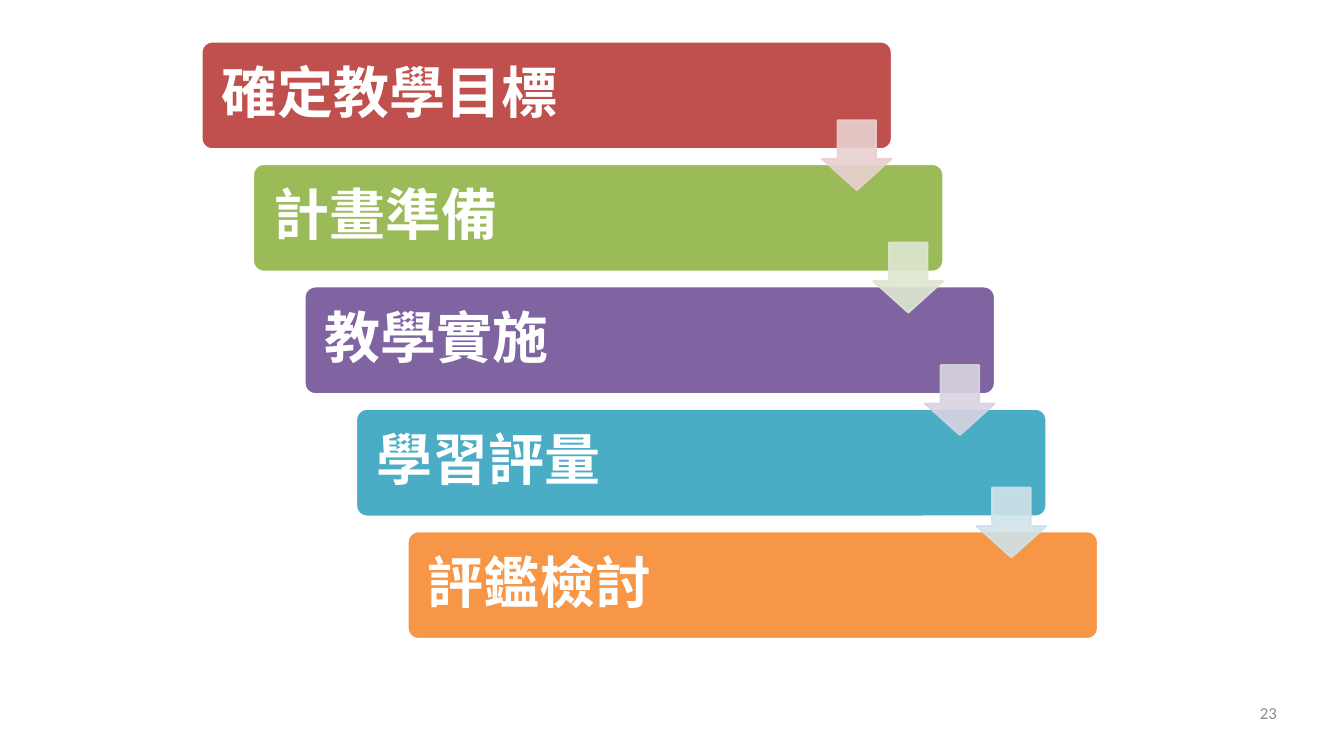
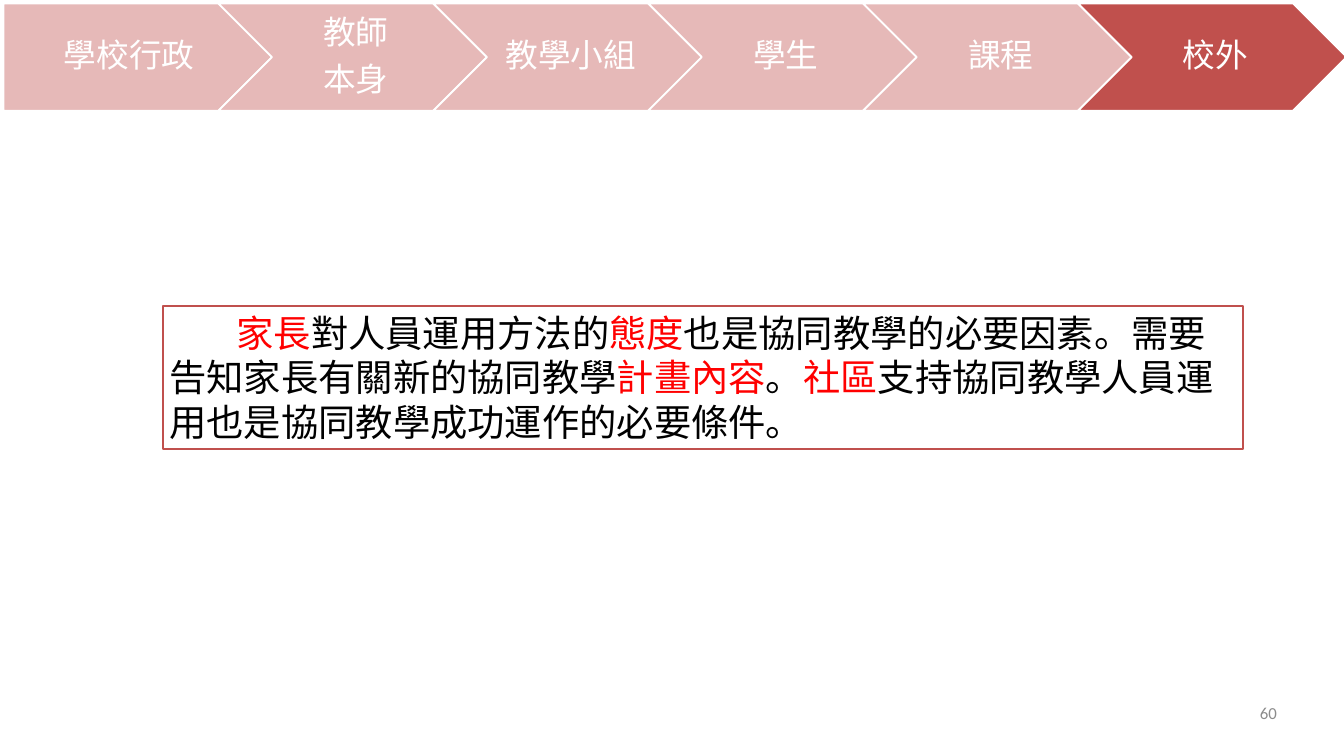
from lxml.etree import SubElement
from pptx import Presentation
from pptx.dml.color import RGBColor
from pptx.enum.shapes import MSO_SHAPE
from pptx.enum.text import MSO_ANCHOR, PP_ALIGN
from pptx.oxml.ns import qn
from pptx.util import Inches, Pt

COLORS = {
    "white": "FFFFFF", "black": "000000", "gray": "8C8C8C", "highlight": "FF0000",
    "red": "C0504D", "green": "9BBB59", "purple": "8064A2", "blue": "4BACC6",
    "orange": "F79646", "pale_red": "E8D0D0", "pale_green": "DEE7D1",
    "pale_purple": "D8D3E0", "pale_blue": "D0E3EA", "pink": "E6B9B8",
}
HEADING_FONT = "Noto Sans CJK SC"
BODY_FONT = "Calibri"


def add_box(slide, kind, bounds, fill, line="white", margins=(0.1, 0.05, 0.1, 0.05)):
    shape = slide.shapes.add_shape(kind, *[Inches(value) for value in bounds])
    shape.shadow.inherit = False
    shape.fill.solid()
    shape.fill.fore_color.rgb = RGBColor.from_string(COLORS[fill])
    shape.line.color.rgb = RGBColor.from_string(COLORS[line])
    shape.line.width = Pt(2)
    frame = shape.text_frame
    frame.word_wrap = True
    frame.vertical_anchor = MSO_ANCHOR.MIDDLE
    for side, margin in zip(("left", "top", "right", "bottom"), margins):
        setattr(frame, f"margin_{side}", Inches(margin))
    return shape


def add_text(paragraph, text, color, font_name, size, bold=False, align=PP_ALIGN.LEFT, spaced=False):
    paragraph.alignment = align
    run = paragraph.add_run()
    run.text = text
    for name, value in {"name": font_name, "size": Pt(size), "bold": bold}.items():
        setattr(run.font, name, value)
    run.font.color.rgb = RGBColor.from_string(COLORS[color])
    SubElement(run.font._element, qn("a:ea"), typeface=font_name)
    if spaced:
        paragraph.line_spacing = 0.9
        space_after = SubElement(paragraph._p.get_or_add_pPr(), qn("a:spcAft"))
        SubElement(space_after, qn("a:spcPct"), val="35000")


presentation = Presentation()
presentation.slide_width = Inches(20)
presentation.slide_height = Inches(11.25)
slides = []
for page_number in ("23", "60"):
    slide = presentation.slides.add_slide(presentation.slide_layouts[6])
    number_box = slide.shapes.add_textbox(Inches(14.4), Inches(10.46), Inches(4.6), Inches(0.56))
    frame = number_box.text_frame
    frame.word_wrap = True
    for side in ("left", "top", "right", "bottom"):
        setattr(frame, f"margin_{side}", 0)
    add_text(frame.paragraphs[0], page_number, "gray", BODY_FONT, 18, align=PP_ALIGN.RIGHT)
    slides.append(slide)
steps_slide, factors_slide = slides

steps = [
    ("確定教學目標", "red"),
    ("計畫準備", "green"),
    ("教學實施", "purple"),
    ("學習評量", "blue"),
    ("評鑑檢討", "orange"),
]
step_right, step_down = 0.767, 1.822
for index, (label, color) in enumerate(steps):
    bounds = (3 + index * step_right, 0.62 + index * step_down, 10.27, 1.6)
    bar = add_box(steps_slide, MSO_SHAPE.ROUNDED_RECTANGLE, bounds, color, margins=[0.25] * 4)
    bar.adjustments[0] = 0.1
    add_text(bar.text_frame.paragraphs[0], label, "white", HEADING_FONT, 60, bold=True, spaced=True)

for index, color in enumerate(("pale_red", "pale_green", "pale_purple", "pale_blue")):
    bounds = (12.23 + index * step_right, 1.79 + index * step_down, 1.04, 1.04)
    arrow = add_box(steps_slide, MSO_SHAPE.DOWN_ARROW, bounds, color, line=color)
    arrow.adjustments[0] = 0.55
    arrow.adjustments[1] = 0.45
    for color_element in arrow._element.spPr.iter(qn("a:srgbClr")):
        SubElement(color_element, qn("a:alpha"), val="90000")

factors = [["學校行政"], ["教師", "本身"], ["教學小組"], ["學生"], ["課程"], ["校外"]]
current_factor = len(factors) - 1
for index, lines in enumerate(factors):
    kind = MSO_SHAPE.CHEVRON if index else MSO_SHAPE.PENTAGON
    fill = "red" if index == current_factor else "pink"
    left_margin = 0.15 if index else 0.2
    bounds = (0.05 + index * 3.198, 0.05, 4, 1.6)
    tab = add_box(factors_slide, kind, bounds, fill, margins=(left_margin, 0.1, 0.05, 0.1))
    frame = tab.text_frame
    for line_index, text in enumerate(lines):
        paragraph = frame.add_paragraph() if line_index else frame.paragraphs[0]
        add_text(paragraph, text, "white", HEADING_FONT, 35, align=PP_ALIGN.CENTER, spaced=True)

statement = add_box(factors_slide, MSO_SHAPE.RECTANGLE, (2.42, 4.56, 16.08, 2.12), "white", line="red")
statement.text_frame.vertical_anchor = MSO_ANCHOR.TOP
paragraph = statement.text_frame.paragraphs[0]
for text, color in [
    ("家長", "highlight"),
    ("對人員運用方法的", "black"),
    ("態度", "highlight"),
    ("也是協同教學的必要因素。需要告知家長有關新的協同教學", "black"),
    ("計畫內容", "highlight"),
    ("。", "black"),
    ("社區", "highlight"),
    ("支持協同教學人員運用也是協同教學成功運作的必要條件。", "black"),
]:
    add_text(paragraph, text, color, BODY_FONT, 40)
paragraph._p.get_or_add_pPr().set("indent", str(Inches(1)))

presentation.save("out.pptx")
